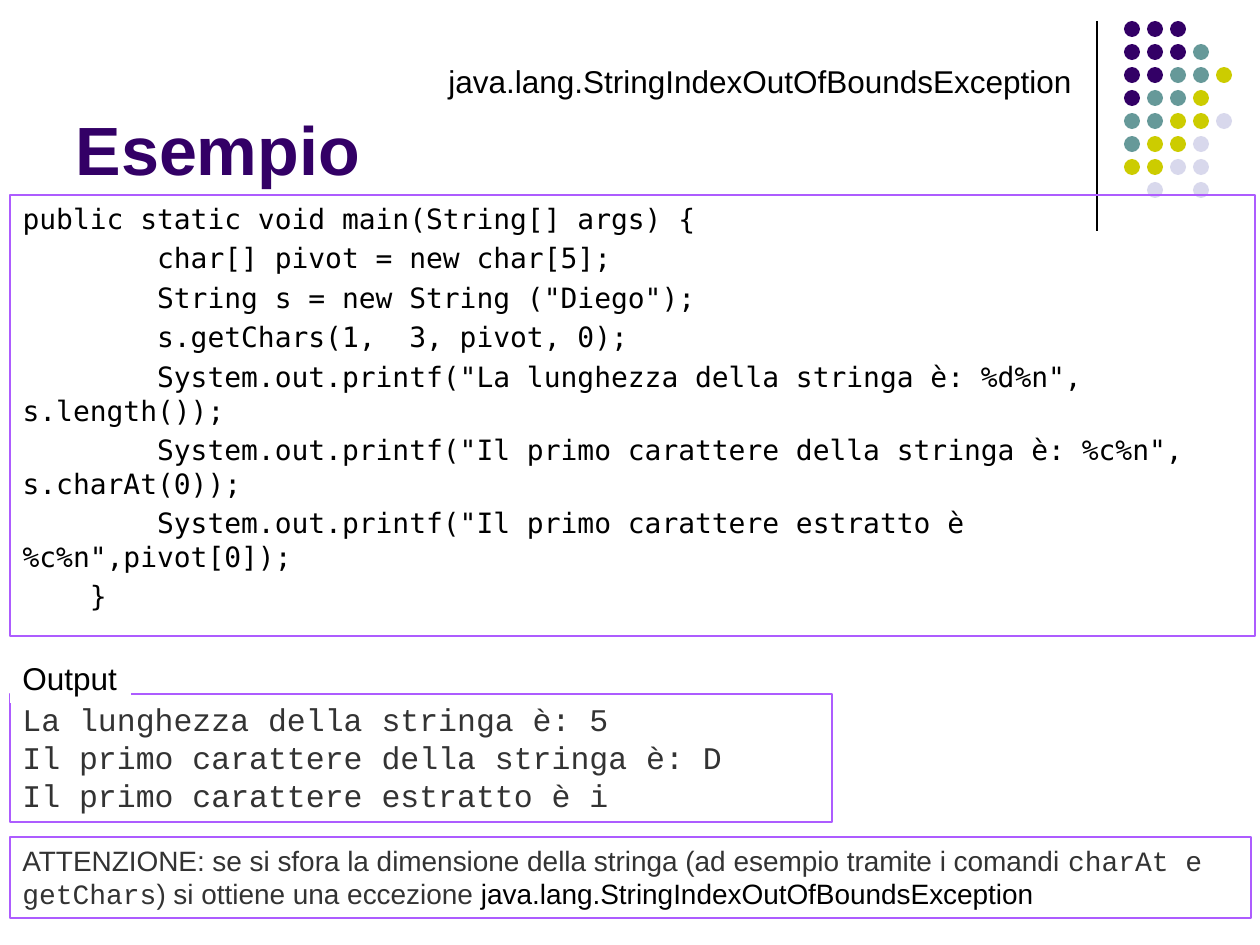
from lxml.etree import SubElement
from pptx import Presentation
from pptx.dml.color import RGBColor
from pptx.enum.shapes import MSO_CONNECTOR, MSO_SHAPE
from pptx.enum.text import MSO_ANCHOR, MSO_AUTO_SIZE, PP_ALIGN
from pptx.oxml.ns import qn
from pptx.util import Pt

SCALE = 914400 / 126
BLACK = RGBColor(0x00, 0x00, 0x00)
GREY = RGBColor(0x33, 0x33, 0x33)
WHITE = RGBColor(0xFF, 0xFF, 0xFF)
PURPLE = RGBColor(0x33, 0x00, 0x66)
VIOLET = RGBColor(0xAD, 0x5C, 0xFF)
TEAL = RGBColor(0x66, 0x99, 0x99)
LIME = RGBColor(0xCC, 0xCC, 0x00)
PALE = RGBColor(0xD8, 0xD8, 0xEC)

SANS, MONO, CODE = "Arial", "Courier New", "DejaVu Sans Mono"
DOTS = ["PPP", "PPPT", "PPTTL", "PTTL", "TTLLW", "TLLW", "LLWW", " W W"]
HUES = {"P": PURPLE, "T": TEAL, "L": LIME, "W": PALE}
ERROR = "java.lang.StringIndexOutOfBoundsException"
SOURCE = [
    "public static void main(String[] args) {",
    "        char[] pivot = new char[5];",
    "        String s = new String (\"Diego\");",
    "        s.getChars(1,  3, pivot, 0);",
    "        System.out.printf(\"La lunghezza della stringa è: %d%n\", s.length());",
    "        System.out.printf(\"Il primo carattere della stringa è: %c%n\", s.charAt(0));",
    "        System.out.printf(\"Il primo carattere estratto è %c%n\",pivot[0]);",
    "    }",
]
RESULT = [
    "La lunghezza della stringa è: 5",
    "Il primo carattere della stringa è: D",
    "Il primo carattere estratto è i",
]
NOTE = [
    ("ATTENZIONE: se si sfora la dimensione della stringa "
     "(ad esempio tramite i comandi ", SANS, GREY),
    ("charAt e getChars", MONO, GREY),
    (") si ottiene una eccezione ", SANS, GREY),
    (ERROR, SANS, BLACK),
]


def px(num):
    """Turn pixels into EMU."""
    return round(num * SCALE)


def place(shape, box):
    """Move a shape to a box of left, top, width and height."""
    shape.left, shape.top, shape.width, shape.height = map(px, box)


def edge(shape):
    """Give a shape the thin violet outline."""
    shape.line.color.rgb = VIOLET
    shape.line.width = Pt(0.75)


def write(para, text, face, size, hue, bold=False):
    """Add one formatted run to a paragraph."""
    run = para.add_run()
    run.text = text
    font = run.font
    font.name, font.size, font.bold = face, Pt(size), bold
    font.color.rgb = hue


def lines(frame, count):
    """Yield the given number of paragraphs from a text frame."""
    yield frame.paragraphs[0]
    for _ in range(count - 1):
        yield frame.add_paragraph()


def rule(slide, box):
    """Draw the upright line along the left of a box."""
    left, top, _, high = box
    bar = slide.shapes.add_connector(
        MSO_CONNECTOR.STRAIGHT, px(left), px(top), px(left), px(top + high))
    bar.line.color.rgb = BLACK
    bar.line.width = Pt(0.75)
    SubElement(bar.element.spPr, qn("a:effectLst"))


def dots(slide, box):
    """Fill a box with the grid of coloured dots."""
    left, top, wide, _ = box
    size = 16
    step = (wide - size) // 4
    group = slide.shapes.add_group_shape()
    for row, keys in enumerate(DOTS):
        for col, key in enumerate(keys):
            if key in HUES:
                spot = group.shapes.add_shape(MSO_SHAPE.OVAL, 0, 0, 0, 0)
                place(spot, (left + col * step, top + row * step, size, size))
                spot.shadow.inherit = False
                spot.fill.solid()
                spot.fill.fore_color.rgb = HUES[key]
                spot.line.fill.background()


def title(slide, box):
    """Set the slide title in its placeholder."""
    head = slide.shapes.title
    place(head, box)
    slide.shapes.element.append(head.element)
    frame = head.text_frame
    frame.vertical_anchor = MSO_ANCHOR.BOTTOM
    frame.auto_size = MSO_AUTO_SIZE.NONE
    para = frame.paragraphs[0]
    para.alignment = PP_ALIGN.LEFT
    write(para, "Esempio", SANS, 39, PURPLE, True)


def code(slide, box):
    """Set the source code in the body placeholder."""
    body = slide.placeholders[1]
    place(body, box)
    slide.shapes.element.append(body.element)
    edge(body)
    frame = body.text_frame
    frame.auto_size = MSO_AUTO_SIZE.NONE
    for num, para in enumerate(lines(frame, len(SOURCE))):
        props = para._p.get_or_add_pPr()
        props.set("marL", "0")
        props.set("indent", "0")
        SubElement(props, qn("a:buNone"))
        para.space_before = Pt(3.4 if num else 0)
        write(para, SOURCE[num], CODE, 16, BLACK)


def panel(slide, box, size, rows, wrap=True):
    """Add a text box whose rows are lists of text, face and colour."""
    shape = slide.shapes.add_textbox(*map(px, box))
    frame = shape.text_frame
    frame.word_wrap = wrap
    frame.auto_size = MSO_AUTO_SIZE.SHAPE_TO_FIT_TEXT
    for para, row in zip(lines(frame, len(rows)), rows):
        for text, face, hue in row:
            write(para, text, face, size, hue)
    return shape


def result(slide, box):
    """Show the program output with its label over the frame."""
    left, top, wide, high = box
    rows = [[(text, MONO, GREY)] for text in RESULT]
    edge(panel(slide, (left, top + 41, wide, high - 41), 18, rows))
    label = panel(slide, (left, top, 121, 50), 18,
                  [[("Output", SANS, BLACK)]], False)
    label.fill.solid()
    label.fill.fore_color.rgb = WHITE


def main():
    """Build the slide and save it."""
    deck = Presentation()
    deck.slide_width, deck.slide_height = px(1260), px(945)
    slide = deck.slides.add_slide(deck.slide_layouts[1])
    rule(slide, (1097, 21, 0, 210))
    dots(slide, (1124, 21, 108, 177))
    title(slide, (63, 16, 1040, 179))
    code(slide, (10, 195, 1245, 441))
    panel(slide, (436, 56, 743, 50), 18, [[(ERROR, SANS, BLACK)]])
    result(slide, (10, 653, 822, 169))
    edge(panel(slide, (10, 837, 1241, 81), 16, [NOTE]))
    deck.save("out.pptx")


if __name__ == "__main__":
    main()
